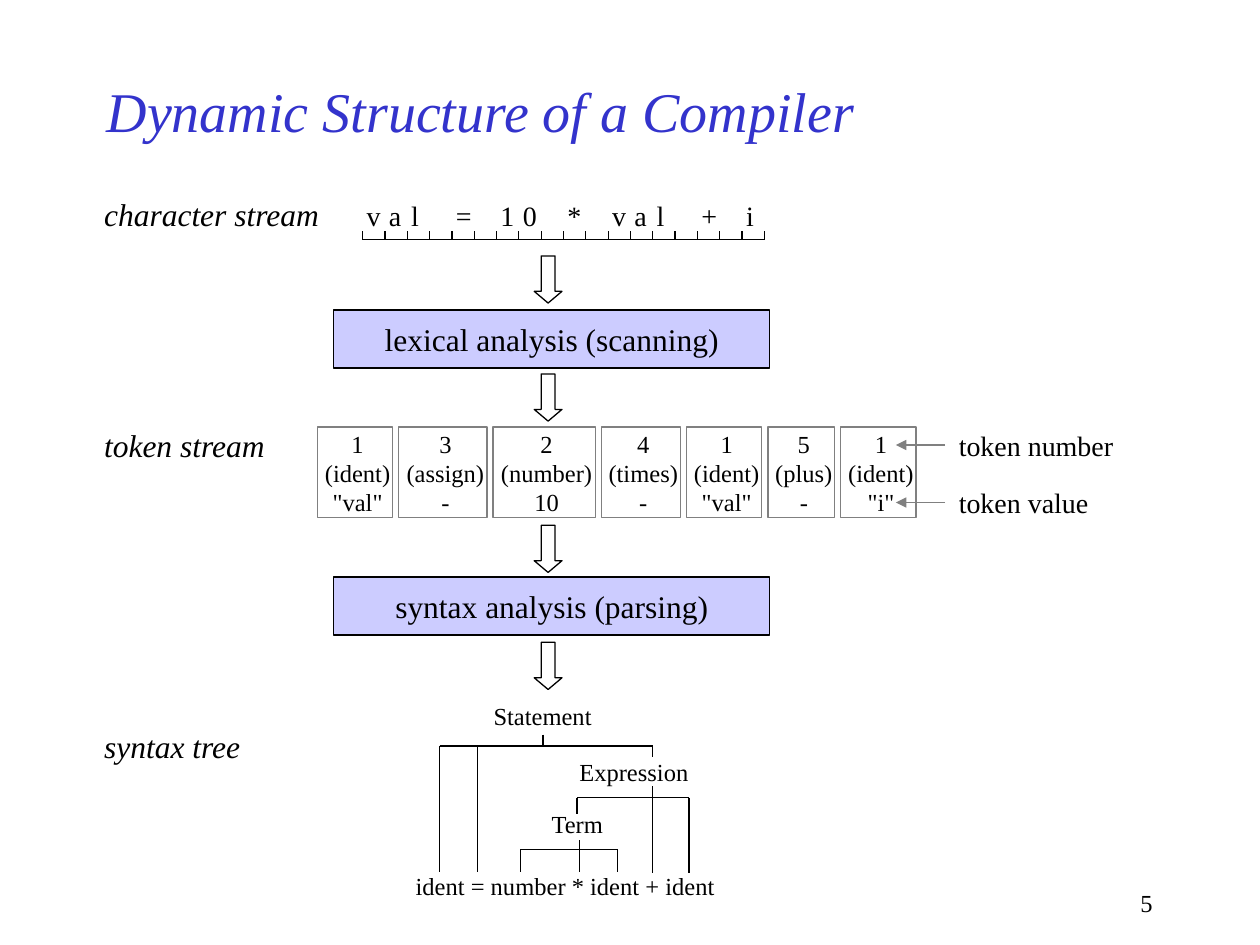
"""Build the slide that follows a statement through the stages of a compiler."""
import dataclasses

import lxml.etree
import pptx
import pptx.dml.color
import pptx.enum.shapes
import pptx.enum.text
import pptx.oxml.ns
import pptx.util

Cm = pptx.util.Cm
Color = pptx.dml.color.RGBColor.from_string
Align = pptx.enum.text.PP_ALIGN
Anchor = pptx.enum.text.MSO_ANCHOR
Shape = pptx.enum.shapes.MSO_SHAPE


@dataclasses.dataclass(frozen=True)
class Theme:
    """Colours, font, type sizes and line width of the slide."""
    font: str = "Times New Roman"
    title: str = "3333CC"
    ink: str = "000000"
    grey: str = "808080"
    phase: str = "CCCCFF"
    title_size: int = 32
    label_size: int = 18
    note_size: int = 16
    small_size: int = 14
    line: float = 0.75


THEME = Theme()
INSETS = (0.25, 0.13, 0.25, 0.13)

STAGES = [("character stream", 3.81, 4.85), ("token stream", 8.46, 3.76), ("syntax tree", 14.53, 3.28)]
PHASES = [("lexical analysis (scanning)", 6.25), ("syntax analysis (parsing)", 11.63)]
ARROW_TOPS = [5.16, 7.54, 10.59, 12.95]
TOKENS = [
    ("1", "(ident)", '"val"', 1.52),
    ("3", "(assign)", "-", 1.78),
    ("2", "(number)", "10", 2.06),
    ("4", "(times)", "-", 1.6),
    ("1", "(ident)", '"val"', 1.52),
    ("5", "(plus)", "-", 1.35),
    ("1", "(ident)", '"i"', 1.52),
]
NOTES = [("token number", 8.97, 3.61), ("token value", 10.13, 3.12)]
NODES = [
    ("Statement", 9.7, 14, 2.49),
    ("Expression", 11.43, 15.14, 2.69),
    ("Term", 10.87, 16.18, 1.57),
    ("ident = number * ident + ident", 8.13, 17.42, 6.53),
]
BRANCHES = [
    (10.95, 14.81, 15.04, {8.86: 17.58, 9.63: 17.58, 13.16: 15.27}),
    (13.16, 15.85, 16.08, {11.63: 16.41, 13.16: 17.6, 13.89: 17.6}),
    (11.68, 16.94, 17.12, {10.49: 17.58, 11.68: 17.58, 12.45: 17.58}),
]


def write(box, lines, size, align=Align.LEFT, color=THEME.ink, italic=False,
          insets=INSETS, wrap=False, anchor=Anchor.TOP):
    """Fill a shape with one formatted paragraph per line."""
    frame = box.text_frame
    frame.word_wrap = wrap
    frame.auto_size = pptx.enum.text.MSO_AUTO_SIZE.NONE
    frame.vertical_anchor = anchor
    frame.margin_left, frame.margin_top, frame.margin_right, frame.margin_bottom = map(Cm, insets)
    frame.text = "\n".join(lines)
    for para in frame.paragraphs:
        para.alignment = align
        para.font.name = THEME.font
        para.font.size = pptx.util.Pt(size)
        para.font.italic = italic
        para.font.color.rgb = Color(color)


def add_text(page, text, left, top, width, height, size, **style):
    """Add a text box holding one line."""
    box = page.shapes.add_textbox(Cm(left), Cm(top), Cm(width), Cm(height))
    write(box, [text], size, **style)


def add_outline(page, kind, left, top, width, height, color=THEME.ink, fill=None):
    """Add a thinly outlined preset shape, filled only if asked."""
    shape = page.shapes.add_shape(kind, Cm(left), Cm(top), Cm(width), Cm(height))
    shape.shadow.inherit = False
    if fill:
        shape.fill.solid()
        shape.fill.fore_color.rgb = Color(fill)
    else:
        shape.fill.background()
    shape.line.color.rgb = Color(color)
    shape.line.width = pptx.util.Pt(THEME.line)
    return shape


def add_line(page, start, end, color=THEME.ink, arrow=False):
    """Add a thin straight line, with an arrowhead at its end if asked."""
    line = page.shapes.add_connector(
        pptx.enum.shapes.MSO_CONNECTOR.STRAIGHT, *map(Cm, (*start, *end)))
    line.line.color.rgb = Color(color)
    line.line.width = pptx.util.Pt(THEME.line)
    qualify = pptx.oxml.ns.qn
    properties = line._element.find(qualify("p:spPr"))
    if arrow:
        stroke = properties.find(qualify("a:ln"))
        lxml.etree.SubElement(stroke, qualify("a:tailEnd"), type="triangle")
    lxml.etree.SubElement(properties, qualify("a:effectLst"))


def add_title(page, text):
    """Place and format the title placeholder."""
    title = page.shapes.title
    title.left, title.top, title.width, title.height = map(Cm, (1.9, 1.27, 19.05, 1.9))
    write(title, [text], THEME.title_size, color=THEME.title, italic=True,
          wrap=True, anchor=Anchor.MIDDLE)


def add_ruler(page, code, left=7.31, base=4.83, pitch=0.45):
    """Set each character of the code in its own slot of a ruler."""
    add_line(page, (left, base), (left + pitch * len(code), base))
    for index in range(len(code) + 1):
        x = left + index * pitch
        add_line(page, (x, base), (x, base - 0.18))
    for index, character in enumerate(code):
        if character != " ":
            add_text(page, character, left + index * pitch + 0.08, 4.01, pitch, 0.69,
                     THEME.note_size, insets=(0, 0, 0, 0), wrap=True)


def add_phase(page, text, top):
    """Add the box of one compiler phase."""
    box = add_outline(page, Shape.RECTANGLE, 6.73, top, 8.79, 1.17, fill=THEME.phase)
    write(box, [text], THEME.label_size, Align.CENTER, anchor=Anchor.MIDDLE)


def add_flow_arrow(page, top):
    """Add a hollow arrow that points to the next stage."""
    arrow = add_outline(page, Shape.DOWN_ARROW, 10.77, top, 0.56, 0.95)
    arrow.adjustments[0], arrow.adjustments[1] = 0.5, 0.42


def add_tokens(page, left=6.4, gap=0.12):
    """Add the row of token boxes from left to right."""
    for *lines, width in TOKENS:
        box = add_outline(page, Shape.RECTANGLE, left, 8.61, width, 1.83, THEME.grey)
        write(box, lines, THEME.small_size, Align.CENTER, insets=(0.15, 0.03, 0.05, 0.03))
        left += width + gap


def add_note(page, text, middle, width):
    """Add a note and its arrow to the last token."""
    add_line(page, (19.05, middle), (18.06, middle), THEME.grey, arrow=True)
    add_text(page, text, 19.08, middle - 0.47, width, 0.94, THEME.note_size)


def add_branch(page, stem, top, bar, drops):
    """Add the stem, bar and drops below one tree node."""
    add_line(page, (min(stem, *drops), bar), (max(stem, *drops), bar))
    for x, bottom in ({stem: bar} | drops).items():
        add_line(page, (x, top if x == stem else bar), (x, bottom))


def main():
    """Build and save the deck."""
    deck = pptx.Presentation()
    deck.slide_width, deck.slide_height = Cm(25.4), Cm(19.05)
    page = deck.slides.add_slide(deck.slide_layouts[5])
    add_title(page, "Dynamic Structure of a Compiler")
    for text, top, width in STAGES:
        add_text(page, text, 1.85, top, width, 1.02, THEME.label_size, italic=True)
    add_ruler(page, "val = 10 * val + i")
    for text, top in PHASES:
        add_phase(page, text, top)
    for top in ARROW_TOPS:
        add_flow_arrow(page, top)
    add_tokens(page)
    for note in NOTES:
        add_note(page, *note)
    for text, left, top, width in NODES:
        add_text(page, text, left, top, width, 0.86, THEME.small_size)
    for branch in BRANCHES:
        add_branch(page, *branch)
    add_text(page, "5", 18.21, 17.78, 5.28, 0.84, THEME.small_size, align=Align.RIGHT, wrap=True)
    deck.save("out.pptx")


if __name__ == "__main__":
    main()
